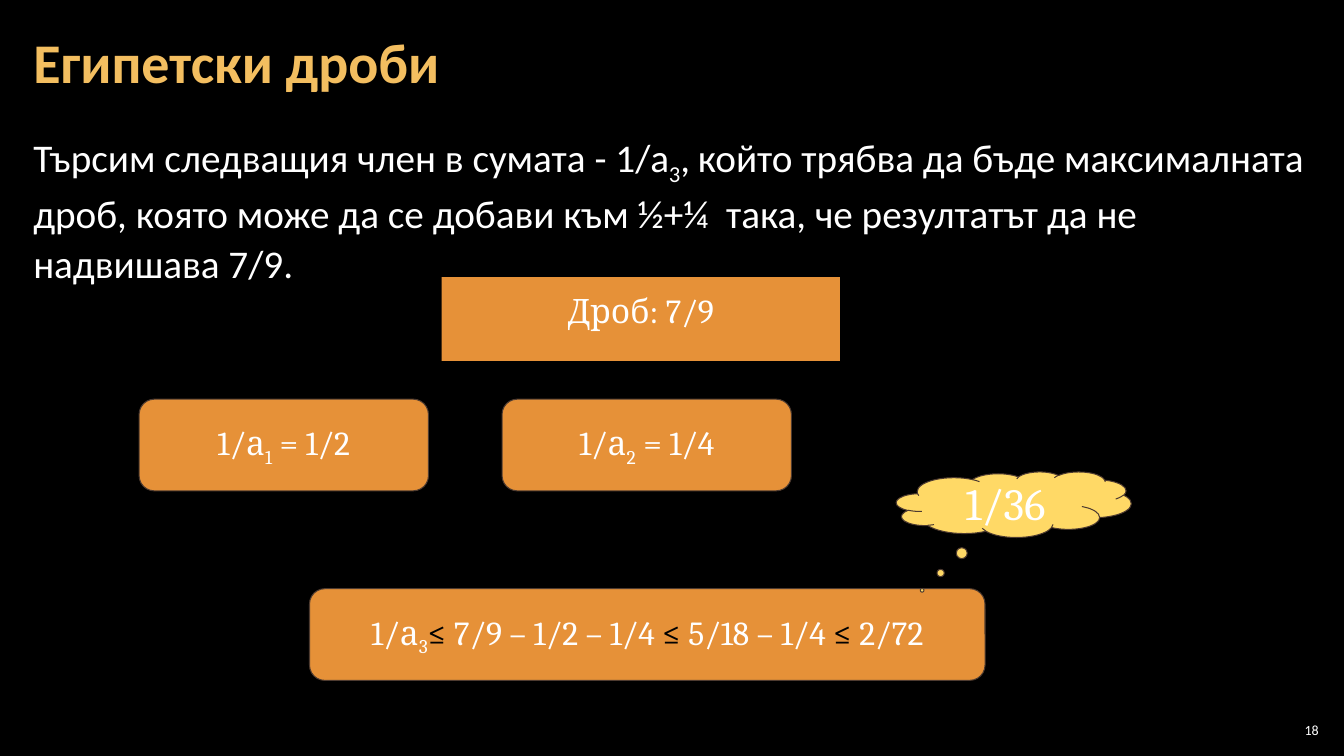
import pptx
import pptx.util
from pptx.dml.color import RGBColor
from pptx.enum.shapes import MSO_SHAPE
from pptx.enum.text import MSO_ANCHOR, PP_ALIGN

PX = 9144  # EMU per px, 100 px to the inch
BLACK = RGBColor(0x00, 0x00, 0x00)
WHITE = RGBColor(0xFF, 0xFF, 0xFF)
GOLD = RGBColor(0xF3, 0xBE, 0x60)
ORANGE = RGBColor(0xE6, 0x91, 0x38)
YELLOW = RGBColor(0xFF, 0xD9, 0x66)
BROWN = RGBColor(0x4E, 0x3B, 0x30)


def write(box, pieces, font, size, color, align, anchor, inset):
    """Fill the box with one paragraph of (text, style) pieces: "", "sub" or "dark"."""
    frame = box.text_frame
    frame.word_wrap = True
    frame.vertical_anchor = anchor
    frame.margin_left = frame.margin_right = inset[0] * PX
    frame.margin_top = frame.margin_bottom = inset[1] * PX
    para = frame.paragraphs[0]
    para.alignment = align
    para.font.name = font
    para.font.size = pptx.util.Pt(size)
    para.font.color.rgb = color
    for text, style in pieces:
        span = para.add_run()
        span.text = text
        if style == "sub":
            span.font._element.set("baseline", "-25000")
        elif style == "dark":
            span.font.color.rgb = BLACK
    return para


def add_text(place, pieces, size, color, align, anchor, inset):
    box = page.shapes.add_textbox(*[length * PX for length in place])
    return write(box, pieces, "Calibri", size, color, align, anchor, inset)


deck = pptx.Presentation()
deck.slide_width = 1333 * PX
deck.slide_height = 750 * PX
page = deck.slides.add_slide(deck.slide_layouts[6])
page.background.fill.solid()
page.background.fill.fore_color.rgb = BLACK

task = add_text(
    (21, 126, 1291, 609),
    [("Търсим следващия член в сумата - 1/а", ""), ("3", "sub"), (",", ""), (" ", ""),
     ("който трябва да бъде максималната дроб, която може да се добави към ½+¼  така, "
      "че резултатът да не надвишава 7/9.", "")],
    28, WHITE, PP_ALIGN.LEFT, MSO_ANCHOR.TOP, (12, 4))
task.line_spacing = 1.05
task.space_after = pptx.util.Pt(6)
task.runs[3].font.size = pptx.util.Pt(24)

title = add_text((21, 4, 1291, 121), [("Египетски дроби", "")],
                 40, GOLD, PP_ALIGN.LEFT, MSO_ANCHOR.MIDDLE, (12, 4))
title.line_spacing = 0.9
title.font.bold = True

ROUNDED = MSO_SHAPE.ROUNDED_RECTANGLE
CLOUD = MSO_SHAPE.CLOUD_CALLOUT
shapes = [
    (MSO_SHAPE.RECTANGLE, (438, 275, 395, 83), [("Дроб: 7/9", "")]),
    (ROUNDED, (138, 396, 287, 91), [("1/а", ""), ("1", "sub"), (" = 1/2", "")]),
    (ROUNDED, (307, 584, 670, 91),
     [("1/а", ""), ("3", "sub"), ("≤", "dark"), (" 7/9 – 1/2 – 1/4 ", ""),
      ("≤", "dark"), (" 5/18 – 1/4 ", ""), ("≤", "dark"), (" 2/72", "")]),
    (ROUNDED, (498, 396, 287, 91), [("1/а", ""), ("2", "sub"), (" = 1/4", "")]),
    (CLOUD, (889, 468, 233, 65), [("1/36", "")]),
]
for kind, place, pieces in shapes:
    shape = page.shapes.add_shape(kind, *[length * PX for length in place])
    shape.shadow.inherit = False
    shape.fill.solid()
    shape.fill.fore_color.rgb = YELLOW if kind == CLOUD else ORANGE
    if kind == MSO_SHAPE.RECTANGLE:
        shape.line.fill.background()
        anchor = MSO_ANCHOR.TOP
    else:
        shape.line.color.rgb = BROWN
        shape.line.width = pptx.util.Pt(0.75)
        anchor = MSO_ANCHOR.MIDDLE
    if kind == CLOUD:
        shape.adjustments[0] = -0.39
        shape.adjustments[1] = 1.31
    write(shape, pieces, "Cambria", 32 if kind == CLOUD else 24, WHITE,
          PP_ALIGN.CENTER, anchor, (13, 13))

add_text((1265, 714, 47, 21), [("18", "")], 10, WHITE,
         PP_ALIGN.RIGHT, MSO_ANCHOR.MIDDLE, (4, 4))

deck.save("out.pptx")
